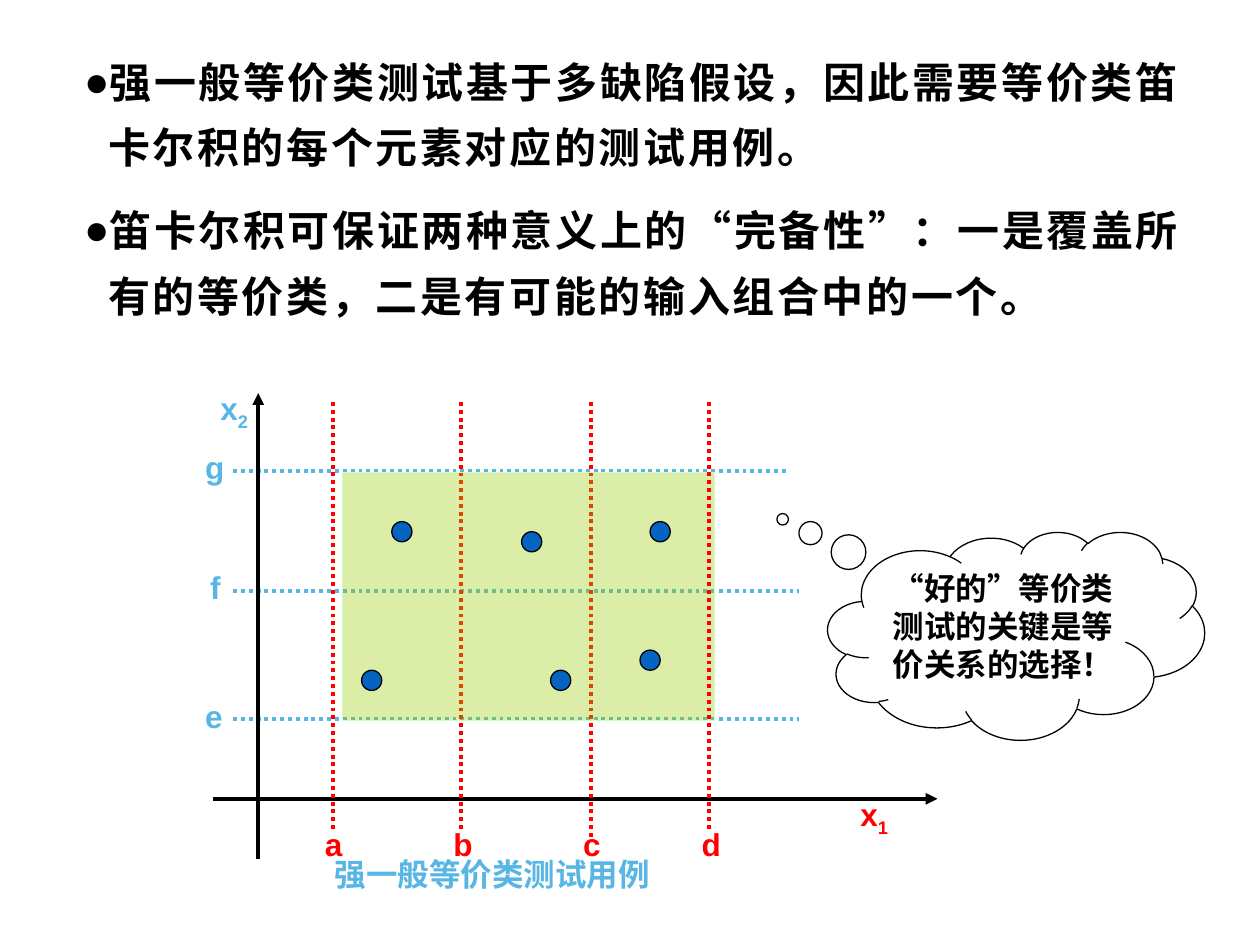
from lxml import etree
from pptx import Presentation
from pptx import util as u
from pptx.dml import color
from pptx.enum import dml, shapes, text
from pptx.oxml import ns

Inches = u.Inches
COLORS = {"ink": "000000", "blue": "58B6E5", "red": "FF0000", "dot": "0563C1",
          "green": "99CC00", "mint": "CCFFCC", "paper": "FFFFFF"}
LATIN, CJK = "Arial", "Noto Sans CJK SC"


def rgb(name):
    return color.RGBColor.from_string(COLORS[name])


def add_child(parent, tag, **attributes):
    return etree.SubElement(parent, ns.qn(tag), **attributes)


def style_para(para, size, tint, name=LATIN):
    font = para.font
    font.size, font.bold, font.name = u.Pt(size), True, name
    font.color.rgb = rgb(tint)
    properties = para._p.get_or_add_pPr().find(ns.qn("a:defRPr"))
    add_child(properties, "a:ea", typeface=CJK)
    return properties


def add_line(page, start, end, tint, dotted=False):
    line = page.shapes.add_connector(shapes.MSO_CONNECTOR.STRAIGHT,
                                     *map(Inches, (*start, *end)))
    line.line.color.rgb = rgb(tint)
    line.line.width = u.Pt(2.25)
    if dotted:
        line.line.dash_style = dml.MSO_LINE.ROUND_DOT
    else:
        add_child(line.line._get_or_add_ln(), "a:tailEnd", type="triangle")
    add_child(line._element.spPr, "a:effectLst")


def add_figure(page, kind, box, fill, outline):
    figure = page.shapes.add_shape(kind, *map(Inches, box))
    figure.shadow.inherit = False
    figure.fill.solid()
    figure.fill.fore_color.rgb = rgb(fill)
    figure.line.color.rgb = rgb(outline)
    figure.line.width = u.Pt(0.75)
    return figure


def add_label(page, box, words, tint, subscript="", wrap=True):
    label = page.shapes.add_textbox(*map(Inches, box))
    frame = label.text_frame
    frame.word_wrap = wrap
    frame.auto_size = text.MSO_AUTO_SIZE.SHAPE_TO_FIT_TEXT
    para = frame.paragraphs[0]
    para.add_run().text = words
    if subscript:
        span = para.add_run()
        span.text = subscript
        span.font._element.set("baseline", "-25000")
    style_para(para, 18, tint)


def add_points(page, box, points):
    frame = page.shapes.add_textbox(*map(Inches, box)).text_frame
    frame.word_wrap = True
    for index, spans in enumerate(points):
        para = frame.add_paragraph() if index else frame.paragraphs[0]
        para.line_spacing = 1.3
        para.space_after = u.Pt(10)
        properties = para._p.get_or_add_pPr()
        properties.set("marL", str(Inches(0.19)))
        properties.set("indent", str(-Inches(0.19)))
        add_child(properties, "a:buFont", typeface=LATIN)
        add_child(properties, "a:buChar", char="●")
        style_para(para, 24, "ink", CJK).set("spc", "150")
        for words in spans:
            span = para.add_run()
            span.text = words
            if words in "“”":
                span.font.name = LATIN


def add_plot(page, box):
    left, top, width, height = box

    def at(x, y):
        return left + x, top + y

    add_line(page, at(0.16, 3.3), at(width, 3.3), "ink")
    for name, y, end, x, label_width in (("g", 0.7, 4.73, 0, 0.35),
                                         ("f", 1.65, 4.81, 0.04, 0.28),
                                         ("e", 2.67, 4.81, 0, 0.34)):
        add_line(page, at(0.32, y), at(end, y), "blue", dotted=True)
        add_label(page, (*at(x, y - 0.23), label_width, 0.4), name, "blue", wrap=False)

    columns = (("a", 1.11, 3.54), ("b", 2.13, 3.54), ("c", 3.16, 3.62), ("d", 4.1, 3.54))
    for name, x, bottom in columns:
        if name == "d":
            region = add_figure(page, shapes.MSO_SHAPE.RECTANGLE,
                                (*at(1.19, 0.71), 2.95, 1.97), "green", "mint")
            tint = region.fill._xPr.find(ns.qn("a:solidFill"))[0]
            add_child(tint, "a:alpha", val="35000")
        add_line(page, at(x, 0.15), at(x, bottom), "red", dotted=True)
        add_label(page, (*at(x - 0.16, 3.46), 0.34, 0.4), name, "red")

    for x, y in ((1.34, 2.28), (2.61, 1.18), (3.55, 2.12),
                 (1.58, 1.1), (2.84, 2.28), (3.63, 1.1)):
        add_figure(page, shapes.MSO_SHAPE.OVAL, (*at(x, y), 0.16, 0.16), "dot", "ink")

    add_line(page, at(0.52, 3.78), at(0.52, 0.08), "ink")
    add_label(page, (*at(5.2, 3.22), 0.45, 0.4), "x", "red", "1")
    add_label(page, (*at(0.12, 0), 0.43, 0.4), "x", "blue", "2", wrap=False)
    add_label(page, (*at(1.03, height - 0.4), 3.11, 0.4), "强一般等价类测试用例", "blue")


def add_thought(page, box, words):
    cloud = add_figure(page, shapes.MSO_SHAPE.CLOUD_CALLOUT, box, "paper", "ink")
    cloud.adjustments[0], cloud.adjustments[1] = -0.62, -0.56
    frame = cloud.text_frame
    frame.word_wrap = True
    frame.vertical_anchor = text.MSO_ANCHOR.TOP
    para = frame.paragraphs[0]
    para.alignment = text.PP_ALIGN.CENTER
    para.add_run().text = words
    style_para(para, 18, "ink")


def main():
    deck = Presentation()
    deck.slide_width, deck.slide_height = Inches(10), Inches(7.5)
    page = deck.slides.add_slide(deck.slide_layouts[6])
    add_points(page, (0.57, 0.28, 9, 5.2), (
        ("强一般等价类测试基于多缺陷假设，因此需要等价类笛卡尔积的每个元素对应的测试用例。",),
        ("笛卡尔积可保证两种意义上的", "“", "完备性", "”",
         "：一是覆盖所有的等价类，二是有可能的输入组合中的一个。"),
    ))
    add_plot(page, (1.53, 3.04, 5.91, 4.1))
    add_thought(page, (6.57, 4.22, 2.99, 1.65), "“好的”等价类测试的关键是等价关系的选择！")
    deck.save("out.pptx")


if __name__ == "__main__":
    main()
